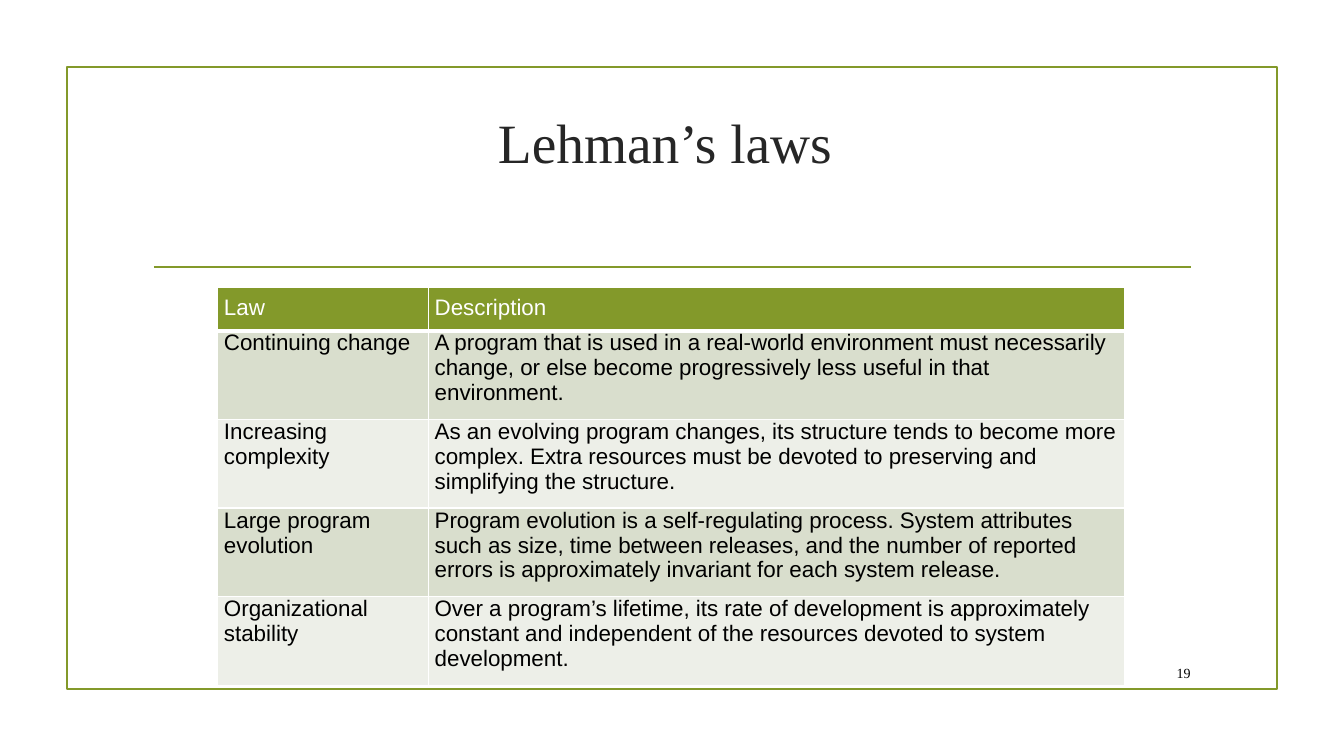
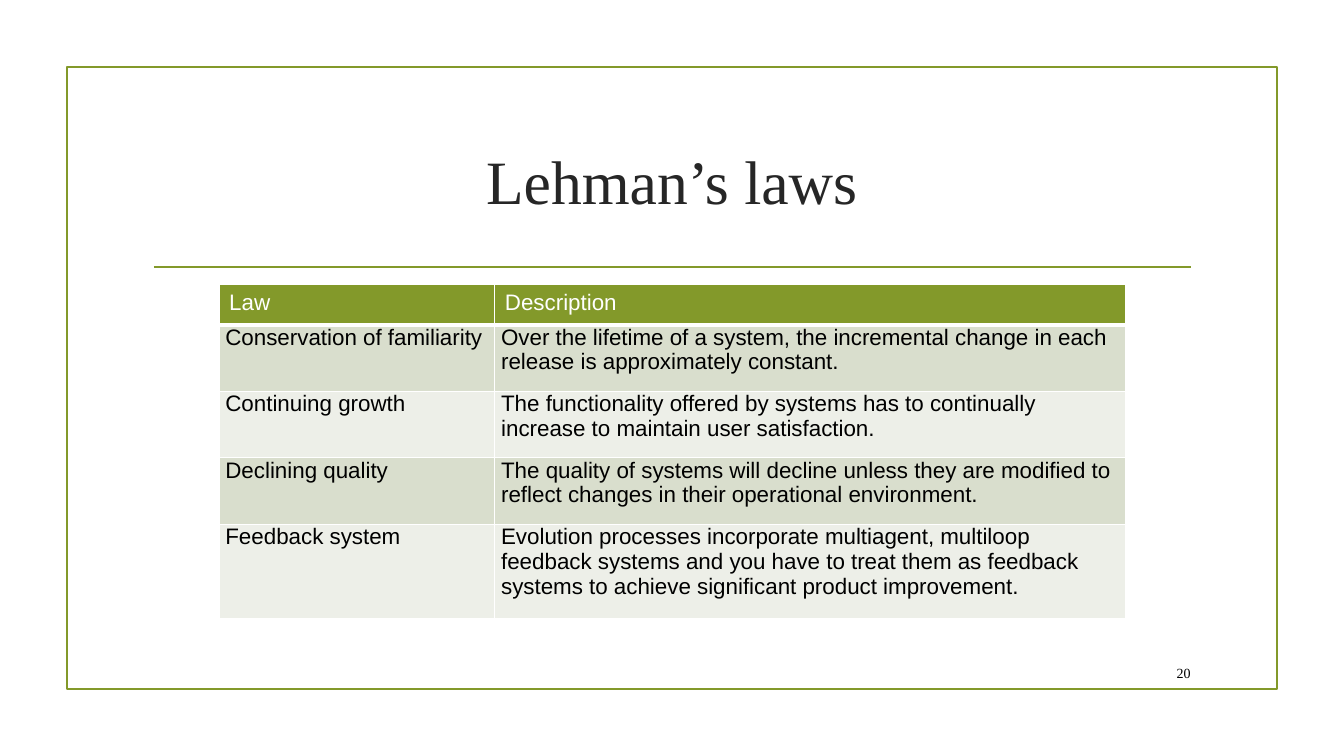
import pptx
import pptx.dml.color
import pptx.enum.shapes
import pptx.enum.text
import pptx.oxml
import pptx.oxml.ns
import pptx.util
from dataclasses import dataclass

Pt = pptx.util.Pt
Align = pptx.enum.text.PP_ALIGN
Anchor = pptx.enum.text.MSO_ANCHOR


@dataclass(frozen=True)
class Theme:
    green: str = "83992A"
    title_ink: str = "262626"
    ink: str = "000000"
    white: str = "FFFFFF"
    bands: tuple = ("D9DECD", "EDEFE8")
    title_font: str = "Times New Roman"
    table_font: str = "Arial"
    title_size: float = 44
    small_title_size: float = 39.6
    table_size: float = 16
    number_size: float = 10
    line_width: float = 1.25
    border: float = 1
    header_border: float = 3


def rgb(value):
    return pptx.dml.color.RGBColor.from_string(value)


def write(frame, text, *, font, size, color, align=Align.LEFT, after=0):
    paragraph = frame.paragraphs[0]
    paragraph.alignment = align
    paragraph.space_after = Pt(after)
    run = paragraph.add_run()
    run.text = text
    run.font.name = font
    run.font.size = Pt(size)
    run.font.color.rgb = rgb(color)


def set_borders(cell, color, **widths):
    """Draw cell edges; widths maps L, R, T and B to points."""
    properties = cell._tc.get_or_add_tcPr()
    for position, (side, width) in enumerate(widths.items()):
        edge = pptx.oxml.parse_xml(
            f'<a:ln{side} {pptx.oxml.ns.nsdecls("a")} w="{Pt(width)}">'
            f'<a:solidFill><a:srgbClr val="{color}"/></a:solidFill></a:ln{side}>')
        properties.insert(position, edge)


class Deck:
    BODY_INSETS = (4.5, 0, 4.5, 5.75)

    def __init__(self, theme):
        self.theme = theme
        self.presentation = pptx.Presentation()
        self.presentation.slide_width = Pt(960)
        self.presentation.slide_height = Pt(540)
        self.slide = None

    def new_slide(self, number):
        """Start a slide with the frame, the rule and the slide number."""
        theme = self.theme
        self.slide = self.presentation.slides.add_slide(
            self.presentation.slide_layouts[6])
        frame = self.slide.shapes.add_shape(
            pptx.enum.shapes.MSO_SHAPE.RECTANGLE, Pt(48), Pt(48), Pt(864), Pt(444))
        frame.shadow.inherit = False
        frame.fill.background()
        self.style_line(frame.line)
        rule = self.slide.shapes.add_connector(
            pptx.enum.shapes.MSO_CONNECTOR.STRAIGHT,
            Pt(110), Pt(190.8), Pt(850.5), Pt(190.8))
        self.style_line(rule.line)
        rule._element.spPr.append(pptx.oxml.parse_xml(
            f'<a:effectLst {pptx.oxml.ns.nsdecls("a")}/>'))
        self.text(str(number), 815, 470, 42.5, 22, font=theme.title_font,
                  size=theme.number_size, color=theme.ink, align=Align.RIGHT)

    def style_line(self, line):
        line.color.rgb = rgb(self.theme.green)
        line.width = Pt(self.theme.line_width)

    def text(self, text, left, top, width, height, **style):
        box = self.slide.shapes.add_textbox(Pt(left), Pt(top), Pt(width), Pt(height))
        box.text_frame.word_wrap = True
        box.text_frame.vertical_anchor = Anchor.MIDDLE
        write(box.text_frame, text, **style)

    def title(self, text, height, size):
        self.text(text, 102, 77, 756, height, font=self.theme.title_font, size=size,
                  color=self.theme.title_ink, align=Align.CENTER)

    def table(self, laws, left, top, widths, heights, header_insets):
        theme = self.theme
        rows = [("Law", "Description"), *laws]
        table = self.slide.shapes.add_table(
            len(rows), len(widths), Pt(left), Pt(top),
            Pt(sum(widths)), Pt(sum(heights))).table
        for column, width in zip(table.columns, widths):
            column.width = Pt(width)
        for index, (row, height, texts) in enumerate(zip(table.rows, heights, rows)):
            row.height = Pt(height)
            is_header = index == 0
            fill = theme.green if is_header else theme.bands[(index - 1) % 2]
            insets = header_insets if is_header else self.BODY_INSETS
            top_border = theme.header_border if index == 1 else theme.border
            bottom_border = theme.header_border if is_header else theme.border
            for cell, text in zip(row.cells, texts):
                (cell.margin_left, cell.margin_top,
                 cell.margin_right, cell.margin_bottom) = map(Pt, insets)
                cell.fill.solid()
                cell.fill.fore_color.rgb = rgb(fill)
                set_borders(cell, theme.white, L=theme.border, R=theme.border,
                            T=top_border, B=bottom_border)
                write(cell.text_frame, text, font=theme.table_font,
                      size=theme.table_size, after=6,
                      color=theme.white if is_header else theme.ink)


FIRST_LAWS = [
    ("Continuing change",
     "A program that is used in a real-world environment must necessarily change, "
     "or else become progressively less useful in that environment."),
    ("Increasing complexity",
     "As an evolving program changes, its structure tends to become more complex. "
     "Extra resources must be devoted to preserving and simplifying the structure."),
    ("Large program evolution",
     "Program evolution is a self-regulating process. System attributes such as size, "
     "time between releases, and the number of reported errors is approximately "
     "invariant for each system release."),
    ("Organizational stability",
     "Over a program’s lifetime, its rate of development is approximately constant "
     "and independent of the resources devoted to system development."),
]
LATER_LAWS = [
    ("Conservation of familiarity",
     "Over the lifetime of a system, the incremental change in each release is "
     "approximately constant."),
    ("Continuing growth",
     "The functionality offered by systems has to continually increase to maintain "
     "user satisfaction."),
    ("Declining quality",
     "The quality of systems will decline unless they are modified to reflect changes "
     "in their operational environment."),
    ("Feedback system",
     "Evolution processes incorporate multiagent, multiloop feedback systems and you "
     "have to treat them as feedback systems to achieve significant product "
     "improvement."),
]


def main():
    theme = Theme()
    deck = Deck(theme)

    deck.new_slide(19)
    deck.title("Lehman’s laws ", 48, theme.small_title_size)
    deck.table(FIRST_LAWS, 155.5, 205.5, (150.5, 497.5), (28.6, *[59.5] * 4),
               header_insets=(4.5, 5.75, 4.5, 5.75))

    deck.new_slide(20)
    deck.title("Lehman’s laws", 103, theme.title_size)
    deck.table(LATER_LAWS, 156.5, 203.5, (197, 450.5), (28.6, *[47.5] * 3, 67.5),
               header_insets=(7.2, 3.6, 7.2, 3.6))

    deck.presentation.save("out.pptx")


if __name__ == "__main__":
    main()
